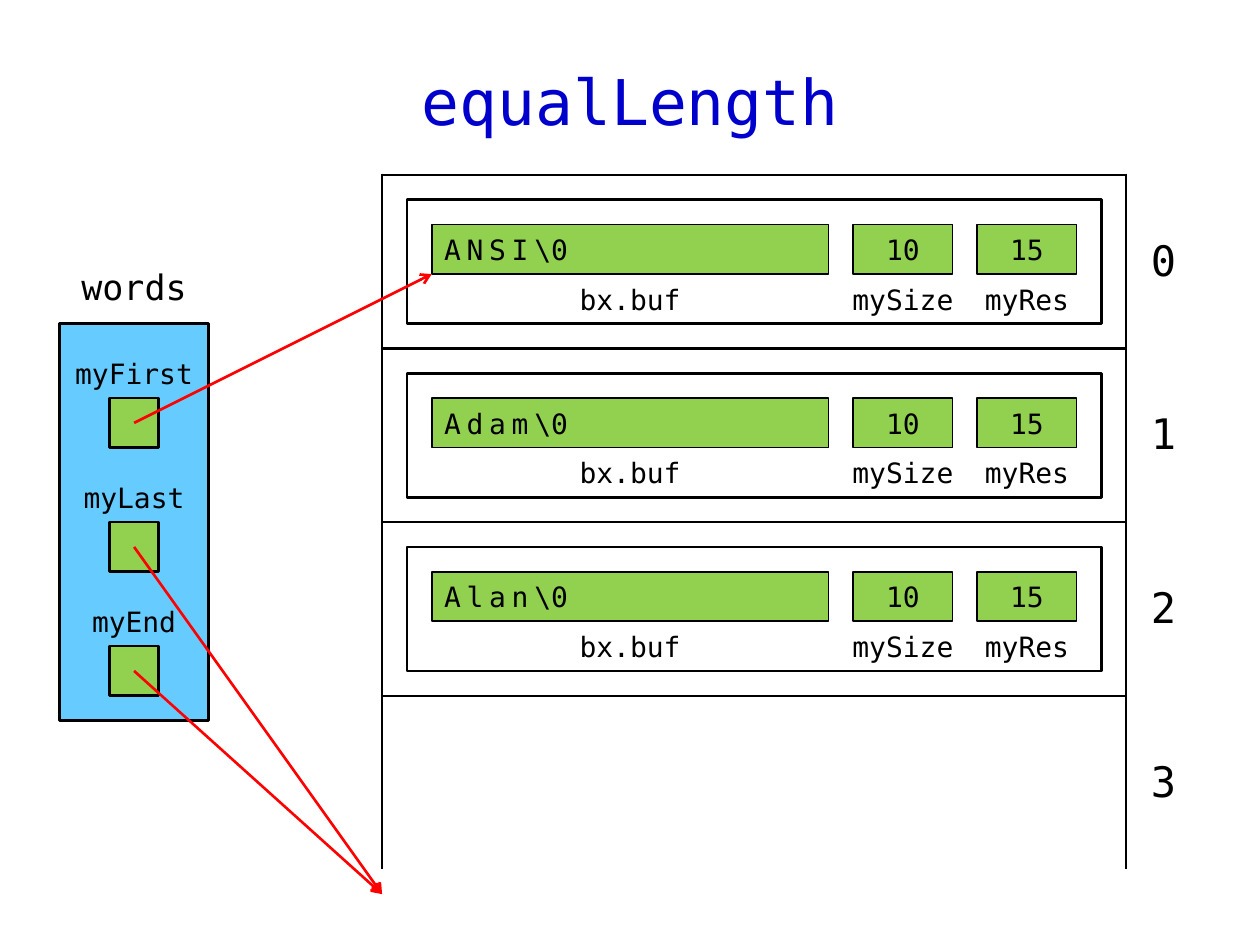
from dataclasses import dataclass

from lxml.etree import SubElement
from pptx import Presentation
from pptx.dml.color import RGBColor
from pptx.enum.shapes import MSO_CONNECTOR, MSO_SHAPE
from pptx.enum.text import MSO_ANCHOR, PP_ALIGN
from pptx.oxml.ns import qn
from pptx.util import Cm, Inches, Pt


@dataclass(frozen=True)
class Theme:
    font: str = "DejaVu Sans Mono"
    ink: str = "000000"
    title: str = "0000CC"
    panel: str = "66CCFF"
    value: str = "92D050"
    paper: str = "FFFFFF"
    pointer: str = "FF0000"
    title_size: int = 36
    index_size: int = 24
    name_size: int = 20
    text_size: int = 16
    thick: float = 1.5
    thin: float = 1


PLAIN_TABLE = "{2D5ABB26-0587-4C30-8999-92F81FD0307C}"
RECT, PROCESS = MSO_SHAPE.RECTANGLE, MSO_SHAPE.FLOWCHART_PROCESS


class Diagram:
    """Draws on a slide in columns and rows of a half-centimetre grid."""

    cell = Cm(0.5)
    left, top = Inches(0.08), Inches(0.01)

    def __init__(self, slide, theme):
        self.s, self.theme = slide, theme

    def point(self, col, row):
        return self.left + col * self.cell, self.top + row * self.cell

    def frame(self, col, row, cols, rows):
        return *self.point(col, row), cols * self.cell, rows * self.cell

    def style(self, p, size, color=None, align=PP_ALIGN.CENTER):
        p.alignment = align
        p.font.name, p.font.size = self.theme.font, Pt(size)
        p.font.color.rgb = RGBColor.from_string(color or self.theme.ink)

    def text(self, words, size, *area, color=None):
        tf = self.s.shapes.add_textbox(*self.frame(*area)).text_frame
        tf.word_wrap, tf.vertical_anchor = True, MSO_ANCHOR.MIDDLE
        p = tf.paragraphs[0]
        p.text = words
        self.style(p, size, color)

    def box(self, *area, kind=RECT, fill=None, line=None, words=""):
        """Adds a box and returns its paragraph; no fill or line unless given."""
        sp = self.s.shapes.add_shape(kind, *self.frame(*area))
        sp.shadow.inherit = False
        if fill:
            sp.fill.solid()
            sp.fill.fore_color.rgb = RGBColor.from_string(fill)
        else:
            sp.fill.background()
        if line:
            sp.line.color.rgb = RGBColor.from_string(self.theme.ink)
            sp.line.width = Pt(line)
        else:
            sp.line.fill.background()
        sp.text_frame.vertical_anchor = MSO_ANCHOR.MIDDLE
        p = sp.text_frame.paragraphs[0]
        p.text = words
        self.style(p, self.theme.text_size)
        return p

    def caption(self, words, col, row):
        self.box(col, row, 6, 2, kind=PROCESS, words=words)

    def buffer(self, word, *area):
        """Adds a box of widely spaced letters ending in a null character."""
        p = self.box(*area, fill=self.theme.value, line=self.theme.thin)
        p.alignment = PP_ALIGN.LEFT
        for words, spacing in ((word, 330), ("\\", -150), ("0", 0)):
            r = p.add_run()
            r.text = words
            r.font._element.set("spc", str(spacing))

    def borders(self, cell, sides):
        tc_pr = cell._tc.get_or_add_tcPr()
        for side in sides:
            ln = SubElement(tc_pr, qn(f"a:ln{side}"), w=str(Pt(self.theme.thick)))
            SubElement(SubElement(ln, qn("a:solidFill")), qn("a:srgbClr"),
                       val=self.theme.ink)

    def array(self, col, row, widths, height, count):
        """Adds numbered slots; the last one is open at the bottom."""
        area = self.frame(col, row, sum(widths), height * count)
        table = self.s.shapes.add_table(count, len(widths), *area).table
        table.first_row = table.horz_banding = False
        table._tbl.tblPr.find(qn("a:tableStyleId")).text = PLAIN_TABLE
        for column, width in zip(table.columns, widths):
            column.width = width * self.cell
        for i in range(count):
            table.rows[i].height = height * self.cell
            self.borders(table.cell(i, 0), "LRT" if i == count - 1 else "LRTB")
            index = table.cell(i, 1)
            index.text, index.vertical_anchor = str(i), MSO_ANCHOR.MIDDLE
            self.style(index.text_frame.paragraphs[0], self.theme.index_size)

    def arrow(self, start, end):
        line = self.s.shapes.add_connector(
            MSO_CONNECTOR.STRAIGHT, *self.point(*start), *self.point(*end))
        line.line.color.rgb = RGBColor.from_string(self.theme.pointer)
        line.line.width = Pt(self.theme.thick)
        SubElement(line.line._get_or_add_ln(), qn("a:tailEnd"), type="arrow")
        SubElement(line._element.spPr, qn("a:effectLst"))

    def record(self, row, word):
        t = self.theme
        self.box(16, row + 1, 28, 5, kind=PROCESS, fill=t.paper, line=t.thick)
        self.buffer(word, 17, row + 2, 16, 2)
        self.caption("bx.buf", 22, row + 4)
        for col, number, name in ((34, "10", "mySize"), (39, "15", "myRes")):
            self.box(col, row + 2, 4, 2, fill=t.value, line=t.thin, words=number)
            self.caption(name, col - 1, row + 4)


def main():
    prs = Presentation()
    prs.slide_width, prs.slide_height = Inches(10), Inches(7.5)
    theme = Theme()
    d = Diagram(prs.slides.add_slide(prs.slide_layouts[6]), theme)

    d.text("equalLength", theme.title_size, 2, 1, 46, 6, color=theme.title)
    array_top, slot = 7, 7
    d.array(15, array_top, (30, 3), slot, 4)
    for i, word in enumerate(("ANSI", "Adam", "Alan")):
        d.record(array_top + i * slot, word)

    d.text("words", theme.name_size, 2, 10, 6, 3)
    d.box(2, 13, 6, 16, kind=PROCESS, fill=theme.panel, line=theme.thick)
    first, end = (17, 11), (15, 36)
    pointers = (("myFirst", first), ("myLast", end), ("myEnd", end))
    for i, (name, _) in enumerate(pointers):
        d.caption(name, 2, 14 + 5 * i)
        d.box(4, 16 + 5 * i, 2, 2, fill=theme.value, line=theme.thick)
    for i, (_, target) in enumerate(pointers):
        d.arrow((5, 17 + 5 * i), target)

    prs.save("out.pptx")


if __name__ == "__main__":
    main()
